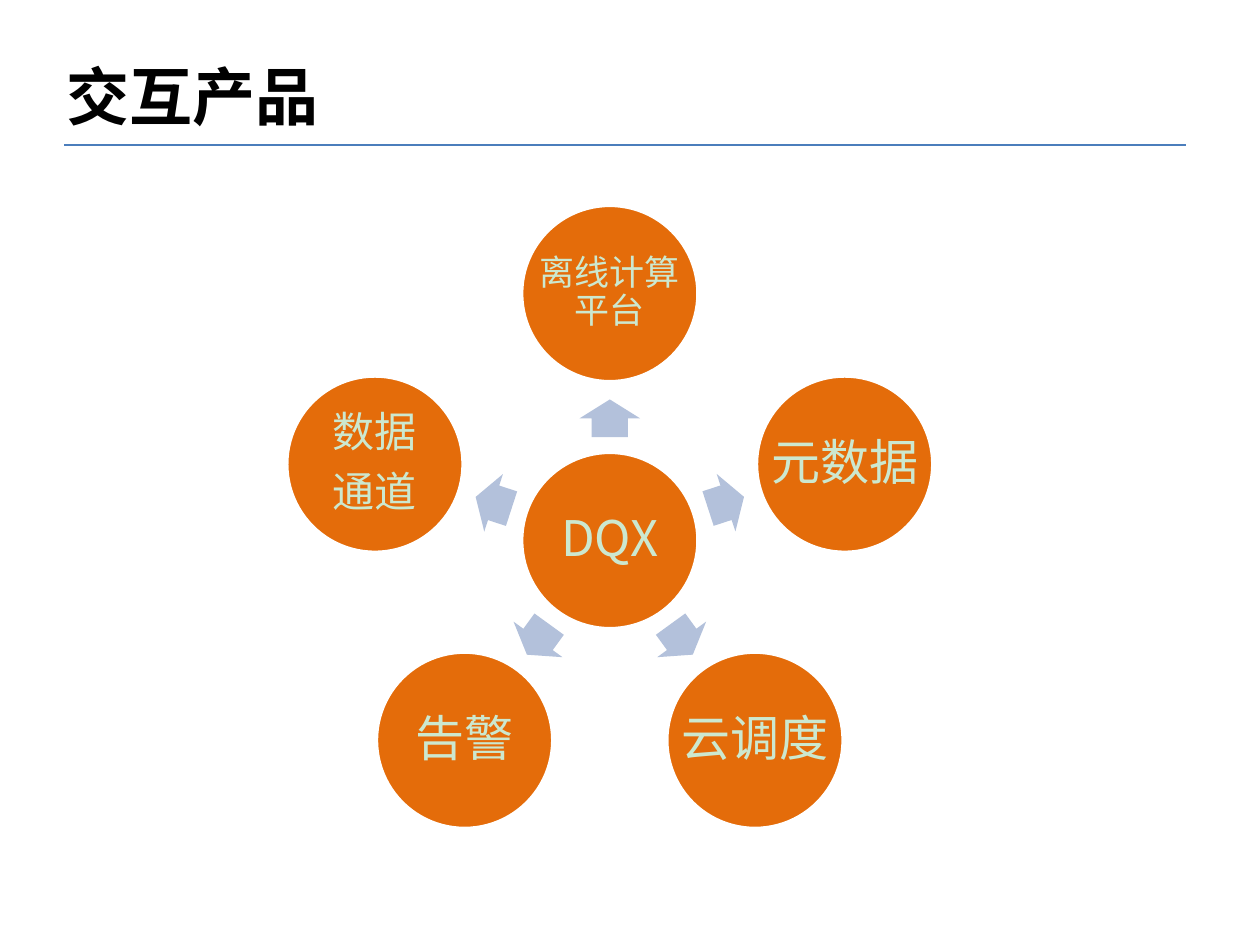
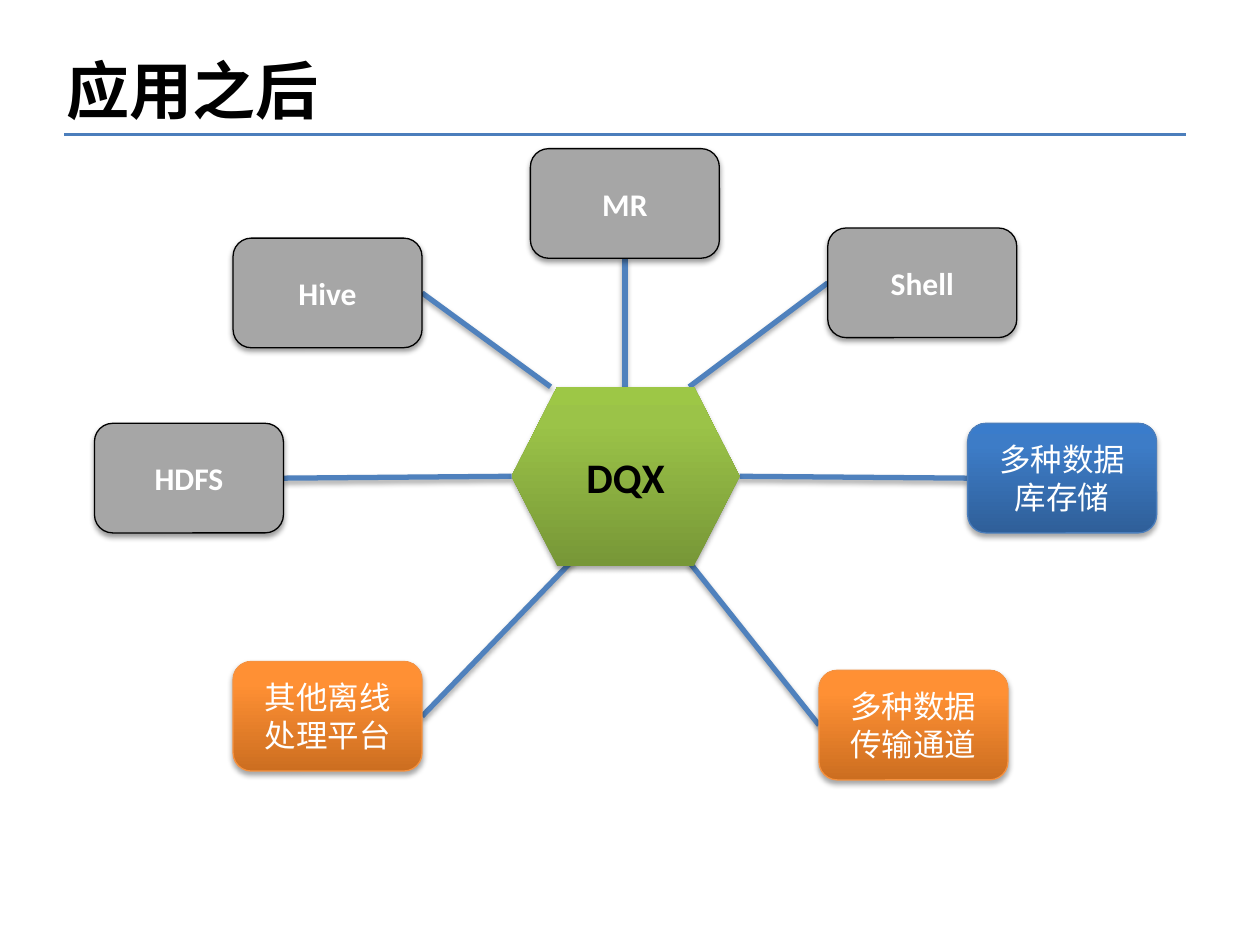
from dataclasses import dataclass
from math import cos, radians, sin

from lxml import etree
from pptx import Presentation
from pptx import util as u
from pptx.dml.color import RGBColor
from pptx.enum import shapes, text
from pptx.oxml import ns


@dataclass(frozen=True)
class Theme:
    cjk_font: str = "Noto Sans CJK SC"
    latin_font: str = "Calibri"
    black: str = "000000"
    white: str = "FFFFFF"
    rule: str = "4B7EBC"
    link: str = "4F81BD"
    circle: str = "E46C0A"
    circle_text: str = "CCE8CF"
    arrow: str = "B3C1DB"
    grey: str = "A6A6A6"
    orange_edge: str = "F69240"
    green_stops: tuple[str, str, str] = ("779737", "9BC348", "9DC746")
    orange_stops: tuple[str, str, str] = ("CC6E20", "FF9034", "FF9136")
    blue_stops: tuple[str, str, str] = ("2F5F99", "3D7CC7", "3A7CCB")
    title_size: int = 36
    hub_size: int = 24
    box_size: int = 18


THEME = Theme()


@dataclass(frozen=True)
class TextStyle:
    size: float
    color: str
    font: str = THEME.cjk_font
    bold: bool = False


@dataclass(frozen=True)
class Product:
    lines: tuple[str, ...]
    size: int = 28
    inset: float = 0.04


@dataclass(frozen=True)
class BoxStyle:
    fill: str | tuple[str, str, str]
    edge: str
    bold: bool = False
    shadow_alpha: int = 35


@dataclass(frozen=True)
class Box:
    label: str
    left: float
    top: float
    style: BoxStyle
    side: tuple[float, float]
    hub_point: tuple[float, float]


HUB_NAME = "DQX"
CENTER_X, CENTER_Y = 4.84, 4.29
CIRCLE_RADIUS, ARROW_RADIUS = 1.96, 0.97
DIAMETER = 1.4
ARROW_LENGTH, ARROW_WIDTH = 0.3, 0.48
CENTER_PRODUCT = Product((HUB_NAME,))
PRODUCTS = (
    Product(("离线计算平台",), 20, 0.03),
    Product(("元数据",)),
    Product(("云调度",)),
    Product(("告警",)),
    Product(("数据", "通道"), 24, 0.03),
)

BOX_WIDTH, BOX_HEIGHT = 1.5, 0.87
LEFT, RIGHT, BOTTOM = (0, 0.5), (1, 0.5), (0.5, 1)
GREY = BoxStyle(THEME.grey, THEME.black, True, 38)
ORANGE = BoxStyle(THEME.orange_stops, THEME.orange_edge)
BLUE = BoxStyle(THEME.blue_stops, THEME.rule)
BOXES = (
    Box("Hive", 1.85, 1.89, GREY, RIGHT, (4.37, 3.07)),
    Box("HDFS", 0.75, 3.36, GREY, RIGHT, (4.06, 3.78)),
    Box("Shell", 6.57, 1.81, GREY, LEFT, (5.47, 3.07)),
    Box("MR", 4.21, 1.18, GREY, BOTTOM, (4.96, 3.07)),
    Box("其他离线处理平台", 1.85, 5.25, ORANGE, RIGHT, (4.61, 4.38)),
    Box("多种数据传输通道", 6.5, 5.32, ORANGE, LEFT, (5.47, 4.46)),
    Box("多种数据库存储", 7.68, 3.36, BLUE, LEFT, (5.87, 3.78)),
)


def add_element(parent, tag: str, **attributes):
    names = {name: str(value) for name, value in attributes.items()}
    return etree.SubElement(parent, ns.qn(tag), names)


def set_effects(shape, shadow_alpha: int = 0) -> None:
    effects = add_element(shape.element.spPr, "a:effectLst")
    if shadow_alpha:
        shadow = add_element(effects, "a:outerShdw", blurRad=u.Pt(3.1), dist=u.Pt(1.8),
                             dir=90 * 60000, rotWithShape=0)
        color = add_element(shadow, "a:srgbClr", val=THEME.black)
        add_element(color, "a:alpha", val=shadow_alpha * 1000)


def set_fill(shape, fill: str | tuple[str, str, str]) -> None:
    if isinstance(fill, str):
        shape.fill.solid()
        shape.fill.fore_color.rgb = RGBColor.from_string(fill)
        return
    shape.fill.gradient()
    shape.fill.gradient_angle = 90
    stops = shape.element.spPr.find(f".//{ns.qn('a:gsLst')}")
    for stop in list(stops):
        stops.remove(stop)
    for position, color in zip((0, 80, 100), fill):
        stop = add_element(stops, "a:gs", pos=position * 1000)
        add_element(stop, "a:srgbClr", val=color)


def set_line(shape, color: str | None, width: float = 0) -> None:
    if color is None:
        shape.line.fill.background()
        return
    shape.line.color.rgb = RGBColor.from_string(color)
    shape.line.width = u.Pt(width)


def write(paragraph, words: str, style: TextStyle) -> None:
    run = paragraph.add_run()
    run.text = words
    run.font.size = u.Pt(style.size)
    run.font.bold = style.bold
    run.font.color.rgb = RGBColor.from_string(style.color)
    run.font.name = style.font
    add_element(run.font._element, "a:ea", typeface=THEME.cjk_font)


def add_shape(slide, kind, left: float, top: float, width: float, height: float,
              fill: str | tuple[str, str, str], edge: str | None = None,
              edge_width: float = 0, shadow_alpha: int = 0):
    shape = slide.shapes.add_shape(kind, u.Inches(left), u.Inches(top),
                                   u.Inches(width), u.Inches(height))
    set_fill(shape, fill)
    set_line(shape, edge, edge_width)
    set_effects(shape, shadow_alpha)
    return shape


def add_label(shape, words: str, style: TextStyle) -> None:
    frame = shape.text_frame
    frame.word_wrap = True
    frame.vertical_anchor = text.MSO_ANCHOR.MIDDLE
    paragraph = frame.paragraphs[0]
    paragraph.alignment = text.PP_ALIGN.CENTER
    write(paragraph, words, style)


def add_line(slide, start: tuple[float, float], end: tuple[float, float],
             color: str, width: float, shadow_alpha: int = 0) -> None:
    points = [u.Inches(value) for value in (*start, *end)]
    line = slide.shapes.add_connector(shapes.MSO_CONNECTOR.STRAIGHT, *points)
    set_line(line, color, width)
    set_effects(line, shadow_alpha)


def add_titled_slide(presentation, words: str, top: float, rule_y: float):
    slide = presentation.slides.add_slide(presentation.slide_layouts[5])
    title = slide.shapes.title
    title.left, title.top = u.Inches(0.43), u.Inches(top)
    title.width, title.height = u.Inches(5.67), u.Inches(0.71)
    frame = title.text_frame
    frame.auto_size = text.MSO_AUTO_SIZE.NONE
    frame.vertical_anchor = text.MSO_ANCHOR.TOP
    paragraph = frame.paragraphs[0]
    paragraph.alignment = text.PP_ALIGN.LEFT
    write(paragraph, words, TextStyle(THEME.title_size, THEME.black, bold=True))
    add_line(slide, (0.51, rule_y), (9.41, rule_y), THEME.rule, 1.5)
    return slide


def polar(radius: float, angle: float) -> tuple[float, float]:
    return (CENTER_X + radius * cos(radians(angle)),
            CENTER_Y + radius * sin(radians(angle)))


def add_product(slide, product: Product, x: float, y: float) -> None:
    left, top = x - DIAMETER / 2, y - DIAMETER / 2
    add_shape(slide, shapes.MSO_SHAPE.OVAL, left, top, DIAMETER, DIAMETER,
              THEME.circle, THEME.white, 2)
    box = slide.shapes.add_textbox(u.Inches(left), u.Inches(top),
                                   u.Inches(DIAMETER), u.Inches(DIAMETER))
    frame = box.text_frame
    frame.word_wrap = True
    frame.vertical_anchor = text.MSO_ANCHOR.MIDDLE
    frame.margin_left = frame.margin_right = u.Inches(product.inset)
    frame.margin_top = frame.margin_bottom = u.Inches(product.inset)
    for index, words in enumerate(product.lines):
        paragraph = frame.add_paragraph() if index else frame.paragraphs[0]
        paragraph.alignment = text.PP_ALIGN.CENTER
        paragraph.line_spacing = 0.9
        paragraph.space_after = u.Pt(0.35 * product.size)
        write(paragraph, words, TextStyle(product.size, THEME.circle_text))


def add_arrow(slide, angle: float) -> None:
    x, y = polar(ARROW_RADIUS, angle)
    arrow = add_shape(slide, shapes.MSO_SHAPE.RIGHT_ARROW, x - ARROW_LENGTH / 2,
                      y - ARROW_WIDTH / 2, ARROW_LENGTH, ARROW_WIDTH, THEME.arrow)
    arrow.adjustments[0], arrow.adjustments[1] = 0.6, 0.5
    arrow.rotation = angle % 360


def build_products(presentation) -> None:
    slide = add_titled_slide(presentation, "交互产品", 0.41, 1.15)
    add_product(slide, CENTER_PRODUCT, CENTER_X, CENTER_Y)
    for index, product in enumerate(PRODUCTS):
        angle = -90 + index * 360 / len(PRODUCTS)
        add_arrow(slide, angle)
        add_product(slide, product, *polar(CIRCLE_RADIUS, angle))


def build_after(presentation) -> None:
    slide = add_titled_slide(presentation, "应用之后", 0.36, 1.07)
    for box in BOXES:
        start = (box.left + box.side[0] * BOX_WIDTH, box.top + box.side[1] * BOX_HEIGHT)
        add_line(slide, start, box.hub_point, THEME.link, 3, 35)
    hub = add_shape(slide, shapes.MSO_SHAPE.FLOWCHART_PREPARATION, 4.06, 3.07, 1.81, 1.42,
                    THEME.green_stops, shadow_alpha=35)
    add_label(hub, HUB_NAME, TextStyle(THEME.hub_size, THEME.black, THEME.latin_font, True))
    for box in BOXES:
        shape = add_shape(slide, shapes.MSO_SHAPE.ROUNDED_RECTANGLE, box.left, box.top,
                          BOX_WIDTH, BOX_HEIGHT, box.style.fill, box.style.edge, 0.75,
                          box.style.shadow_alpha)
        add_label(shape, box.label, TextStyle(THEME.box_size, THEME.white,
                                              THEME.latin_font, box.style.bold))


def main() -> None:
    presentation = Presentation()
    presentation.slide_width = u.Inches(10)
    presentation.slide_height = u.Inches(7.5)
    build_products(presentation)
    build_after(presentation)
    presentation.save("out.pptx")


if __name__ == "__main__":
    main()
